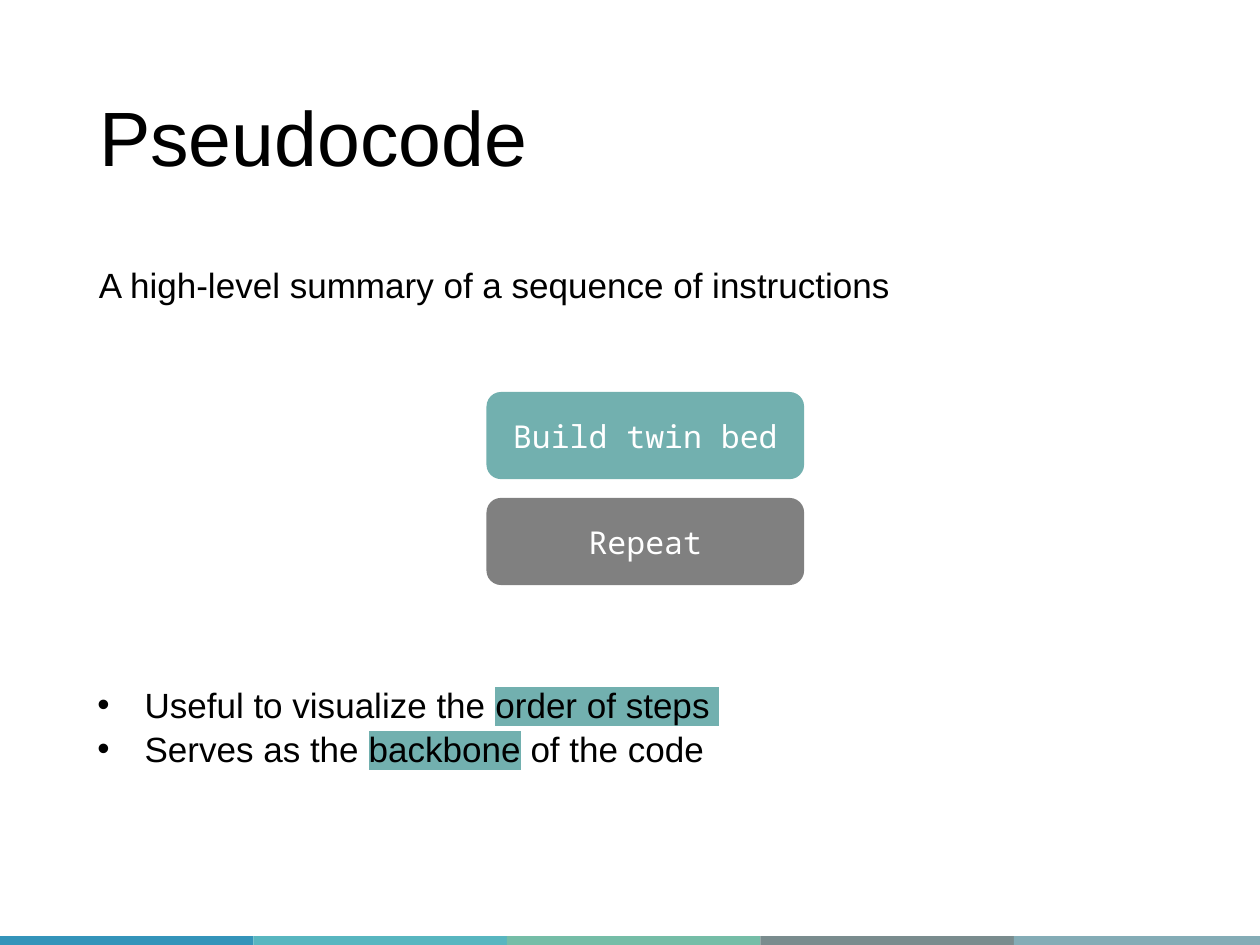
from dataclasses import dataclass

from lxml.etree import SubElement
from pptx import Presentation
from pptx.dml.color import RGBColor
from pptx.enum.shapes import MSO_SHAPE
from pptx.enum.text import MSO_ANCHOR, PP_ALIGN
from pptx.oxml.ns import qn
from pptx.util import Pt


@dataclass(frozen=True)
class Theme:
    text: str = "000000"
    inverse: str = "FFFFFF"
    accent: str = "72B0AF"
    neutral: str = "808080"
    stripes: tuple = ("3494BA", "58B6C0", "75BDA7", "7A8C8E", "84ACB6")
    body_font: str = "Arial"
    code_font: str = "Noto Sans Mono"
    title_size: float = 44
    body_size: float = 20
    code_size: float = 18


@dataclass(frozen=True)
class Box:
    left: float
    top: float
    width: float
    height: float

    def points(self) -> tuple:
        return Pt(self.left), Pt(self.top), Pt(self.width), Pt(self.height)


@dataclass(frozen=True)
class Step:
    label: str
    fill: str


@dataclass(frozen=True)
class Phrase:
    words: str
    marked: bool = False


THEME = Theme()
SLIDE_WIDTH, SLIDE_HEIGHT = 720, 540
STRIPE_TOP, STRIPE_WIDTH = 535, 144.84
STEP_BOX, STEP_PITCH = Box(278, 224, 181.5, 49.8), 60.5
BULLET_INDENT = 27
STEPS = (Step("Build twin bed", THEME.accent), Step("Repeat", THEME.neutral))
BENEFITS = (
    (Phrase("Useful to visualize the "), Phrase("order of steps ", True)),
    (Phrase("Serves as the "), Phrase("backbone", True), Phrase(" of the code")),
)


def write(paragraph, text: str, *, size: float = THEME.body_size,
          font: str = THEME.body_font, color: str = THEME.text,
          align=PP_ALIGN.LEFT, spacing: float = 1.05, highlight: str = "") -> None:
    paragraph.alignment = align
    paragraph.line_spacing = spacing
    run = paragraph.add_run()
    run.text = text
    run.font.size = Pt(size)
    run.font.color.rgb = RGBColor.from_string(color)
    run.font.name = font
    if highlight:
        properties = run.font._element
        marker = SubElement(properties, qn("a:highlight"))
        SubElement(marker, qn("a:srgbClr"), val=highlight)
        properties.find(qn("a:solidFill")).addnext(marker)


def add_bullet(paragraph) -> None:
    properties = paragraph._p.get_or_add_pPr()
    properties.set("marL", str(Pt(BULLET_INDENT)))
    properties.set("indent", str(-Pt(BULLET_INDENT)))
    SubElement(properties, qn("a:buFont"), typeface=THEME.body_font)
    SubElement(properties, qn("a:buChar"), char="•")


def add_block(slide, kind: MSO_SHAPE, box: Box, fill: str):
    block = slide.shapes.add_shape(kind, *box.points())
    block.shadow.inherit = False
    block.fill.solid()
    block.fill.fore_color.rgb = RGBColor.from_string(fill)
    block.line.fill.background()
    return block


def add_text_frame(slide, box: Box):
    frame = slide.shapes.add_textbox(*box.points()).text_frame
    frame.word_wrap = True
    return frame


def draw_stripes(slide) -> None:
    for index, color in enumerate(THEME.stripes):
        left = index * STRIPE_WIDTH
        width = min(STRIPE_WIDTH, SLIDE_WIDTH - left)
        stripe = Box(left, STRIPE_TOP, width, SLIDE_HEIGHT - STRIPE_TOP)
        add_block(slide, MSO_SHAPE.RECTANGLE, stripe, color)


def draw_title(slide, text: str) -> None:
    title = slide.shapes.title
    title.left, title.top, title.width, title.height = Box(49.5, 28.75, 621, 104.4).points()
    title.text_frame.vertical_anchor = MSO_ANCHOR.MIDDLE
    write(title.text_frame.paragraphs[0], text, size=THEME.title_size, spacing=0.9)


def draw_steps(slide) -> None:
    for index, step in enumerate(STEPS):
        box = Box(STEP_BOX.left, STEP_BOX.top + index * STEP_PITCH,
                  STEP_BOX.width, STEP_BOX.height)
        frame = add_block(slide, MSO_SHAPE.ROUNDED_RECTANGLE, box, step.fill).text_frame
        frame.vertical_anchor = MSO_ANCHOR.MIDDLE
        write(frame.paragraphs[0], step.label, size=THEME.code_size, font=THEME.code_font,
              color=THEME.inverse, align=PP_ALIGN.CENTER, spacing=1.0)


def draw_benefits(slide) -> None:
    frame = add_text_frame(slide, Box(48.5, 386, 478, 55.7))
    for index, phrases in enumerate(BENEFITS):
        paragraph = frame.add_paragraph() if index else frame.paragraphs[0]
        add_bullet(paragraph)
        for phrase in phrases:
            write(paragraph, phrase.words, highlight=THEME.accent if phrase.marked else "")


def main() -> None:
    presentation = Presentation()
    presentation.slide_width, presentation.slide_height = Pt(SLIDE_WIDTH), Pt(SLIDE_HEIGHT)
    slide = presentation.slides.add_slide(presentation.slide_layouts.get_by_name("Title Only"))
    draw_stripes(slide)
    draw_title(slide, "Pseudocode")
    summary = add_text_frame(slide, Box(49.5, 146, 626.5, 31.5))
    write(summary.paragraphs[0], "A high-level summary of a sequence of instructions")
    draw_steps(slide)
    draw_benefits(slide)
    presentation.save("out.pptx")


if __name__ == "__main__":
    main()
